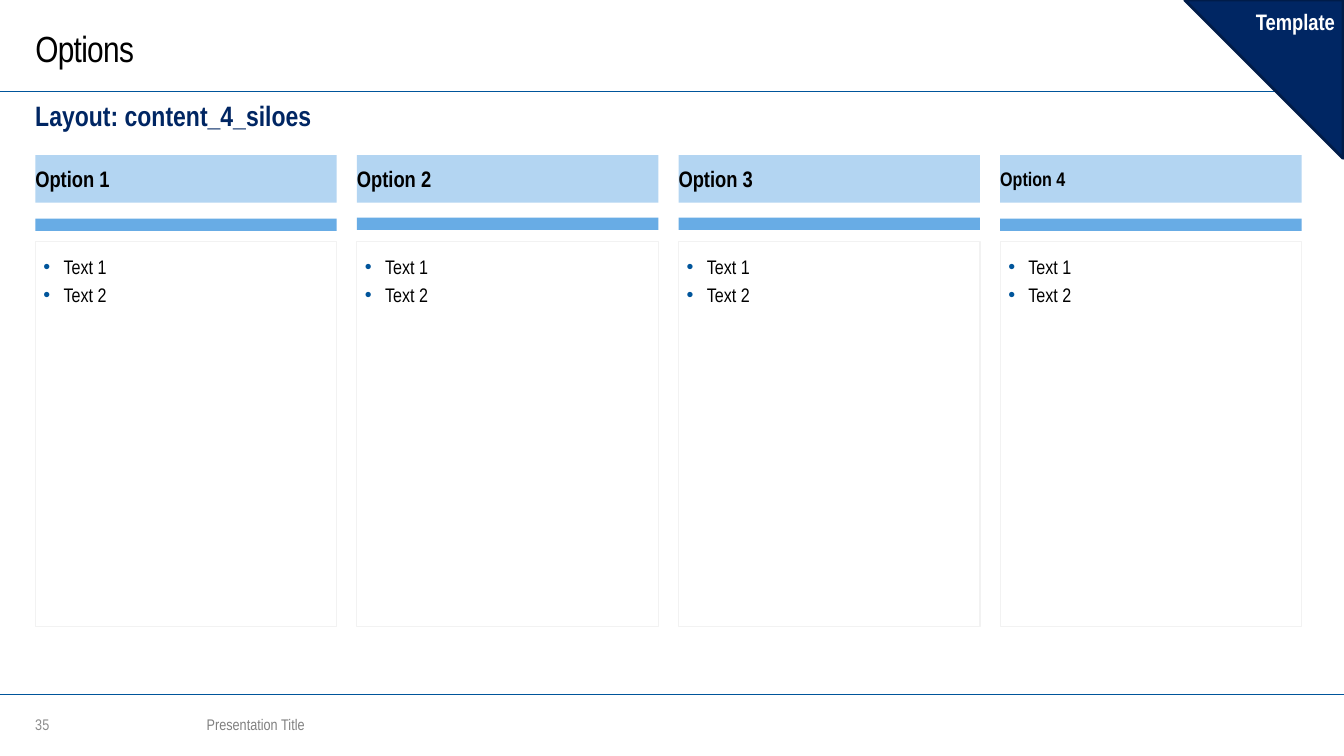
import pptx
import pptx.util
import pptx.dml.color
import pptx.enum.shapes
import pptx.enum.text
from lxml import etree
from pptx.oxml.ns import qn

Inches, Pt = pptx.util.Inches, pptx.util.Pt
RGBColor = pptx.dml.color.RGBColor
SHAPE = pptx.enum.shapes.MSO_SHAPE
ANCHOR = pptx.enum.text.MSO_ANCHOR
ALIGN = pptx.enum.text.PP_ALIGN

# Content
TITLE = "Options"
SUBTITLE = "Layout: content_4_siloes"
CORNER_LABEL = "Template"
PAGE_NUMBER = "35"
FOOTER = "Presentation Title"
# heading, heading size, top of the bar, bullets
SILOS = [
    ("Option 1", 16, 2.17, ["Text 1", "Text 2"]),
    ("Option 2", 16, 2.16, ["Text 1", "Text 2"]),
    ("Option 3", 16, 2.16, ["Text 1", "Text 2"]),
    ("Option 4", 14, 2.17, ["Text 1", "Text 2"]),
]

# Style
FONT = "Arial Narrow"
BLACK = RGBColor(0x00, 0x00, 0x00)
WHITE = RGBColor(0xFF, 0xFF, 0xFF)
NAVY = RGBColor(0x00, 0x26, 0x63)
DARK_NAVY = RGBColor(0x00, 0x1C, 0x49)
RULE_BLUE = RGBColor(0x00, 0x55, 0x9B)
BAR_BLUE = RGBColor(0x68, 0xAC, 0xE5)
HEADING_BLUE = RGBColor(0xB3, 0xD5, 0xF2)
PALE_GREY = RGBColor(0xF2, 0xF2, 0xF2)
NUMBER_GREY = RGBColor(0x8C, 0x8C, 0x8C)
FOOTER_GREY = RGBColor(0x80, 0x80, 0x80)

# Geometry in inches
WIDTH, HEIGHT = 13.33, 7.5
MARGIN, SILO_WIDTH, SILO_STEP = 0.35, 2.99, 3.19
RULE_TOPS = [6.89, 0.91]
CORNER = 1.57

deck = pptx.Presentation()
deck.slide_width, deck.slide_height = Inches(WIDTH), Inches(HEIGHT)
page = deck.slides.add_slide(deck.slide_layouts[6])


def add_rule(top):
    rule = page.shapes.add_connector(
        pptx.enum.shapes.MSO_CONNECTOR.STRAIGHT,
        Inches(0), Inches(top), Inches(WIDTH), Inches(top))
    rule.line.color.rgb = RULE_BLUE
    rule.line.width = Pt(1)
    etree.SubElement(rule._element.spPr, qn("a:effectLst"))


def add_shape(kind, place, fill=None, line=None, line_width=0.75):
    shape = page.shapes.add_shape(kind, *map(Inches, place))
    shape.shadow.inherit = False
    if fill is None:
        shape.fill.background()
    else:
        shape.fill.solid()
        shape.fill.fore_color.rgb = fill
    if line is None:
        shape.line.fill.background()
    else:
        shape.line.color.rgb = line
        shape.line.width = Pt(line_width)
    return shape


def add_bullet(paragraph):
    properties = paragraph._p.get_or_add_pPr()
    properties.set("marL", str(Inches(0.2)))
    properties.set("indent", str(-Inches(0.2)))
    paragraph.line_spacing = 1.2
    colour = etree.SubElement(properties, qn("a:buClr"))
    etree.SubElement(colour, qn("a:srgbClr")).set("val", str(RULE_BLUE))
    etree.SubElement(properties, qn("a:buFont")).set("typeface", "Arial")
    etree.SubElement(properties, qn("a:buChar")).set("char", "•")


def write(shape, lines, size, colour, bold=False, anchor=ANCHOR.MIDDLE,
          insets=(0, 0, 0, 0), align=ALIGN.LEFT, bullets=False):
    frame = shape.text_frame
    frame.word_wrap = True
    frame.vertical_anchor = anchor
    (frame.margin_left, frame.margin_top,
     frame.margin_right, frame.margin_bottom) = map(Inches, insets)
    frame.text = "\n".join(lines)
    for paragraph in frame.paragraphs:
        paragraph.alignment = align
        if bullets:
            add_bullet(paragraph)
        for span in paragraph.runs:
            span.font.name = FONT
            span.font.size = Pt(size)
            span.font.bold = bold
            span.font.color.rgb = colour
    return frame


def add_text(place, text, size, colour, **options):
    box = page.shapes.add_textbox(*map(Inches, place))
    return write(box, [text], size, colour, **options)


# Rules
for rule_top in RULE_TOPS:
    add_rule(rule_top)

# Title, subtitle and footer
title = add_text((MARGIN, 0.04, 10.29, 0.87), TITLE, 26, BLACK)
title.paragraphs[0].runs[0].font._element.set("spc", "-50")
add_text((MARGIN, 0.98, 12.6, 0.34), SUBTITLE, 20, NAVY, bold=True,
         anchor=ANCHOR.TOP)
add_text((MARGIN, 7.05, 0.37, 0.28), PAGE_NUMBER, 11, NUMBER_GREY)
add_text((2.05, 7.05, 6.82, 0.28), FOOTER, 11, FOOTER_GREY)

# Silos: heading, bar and bulleted panel
for index, (heading, heading_size, bar_top, points) in enumerate(SILOS):
    left = MARGIN + index * SILO_STEP
    add_shape(SHAPE.RECTANGLE, (left, bar_top, SILO_WIDTH, 0.12), BAR_BLUE)
    panel = add_shape(SHAPE.RECTANGLE, (left, 2.4, SILO_WIDTH, 3.82),
                      line=PALE_GREY)
    write(panel, points, 14, BLACK, anchor=ANCHOR.TOP,
          insets=(0.08, 0.08, 0, 0), bullets=True)
    header = add_shape(SHAPE.RECTANGLE, (left, 1.54, SILO_WIDTH, 0.47),
                       HEADING_BLUE)
    write(header, [heading], heading_size, BLACK, bold=True)

# Corner flag, turned so that its right angle sits top right
flag = add_shape(SHAPE.ISOSCELES_TRIANGLE, (11.75, 0, CORNER, CORNER),
                 NAVY, DARK_NAVY, 2)
flag.adjustments[0] = 1
flag.rotation = 270
flag_frame = write(flag, [CORNER_LABEL], 16, WHITE, bold=True,
                   anchor=ANCHOR.TOP, insets=(0.08,) * 4, align=ALIGN.RIGHT)
flag_frame.word_wrap = False
flag_frame._txBody.bodyPr.set("vert", "vert")

deck.save("out.pptx")
